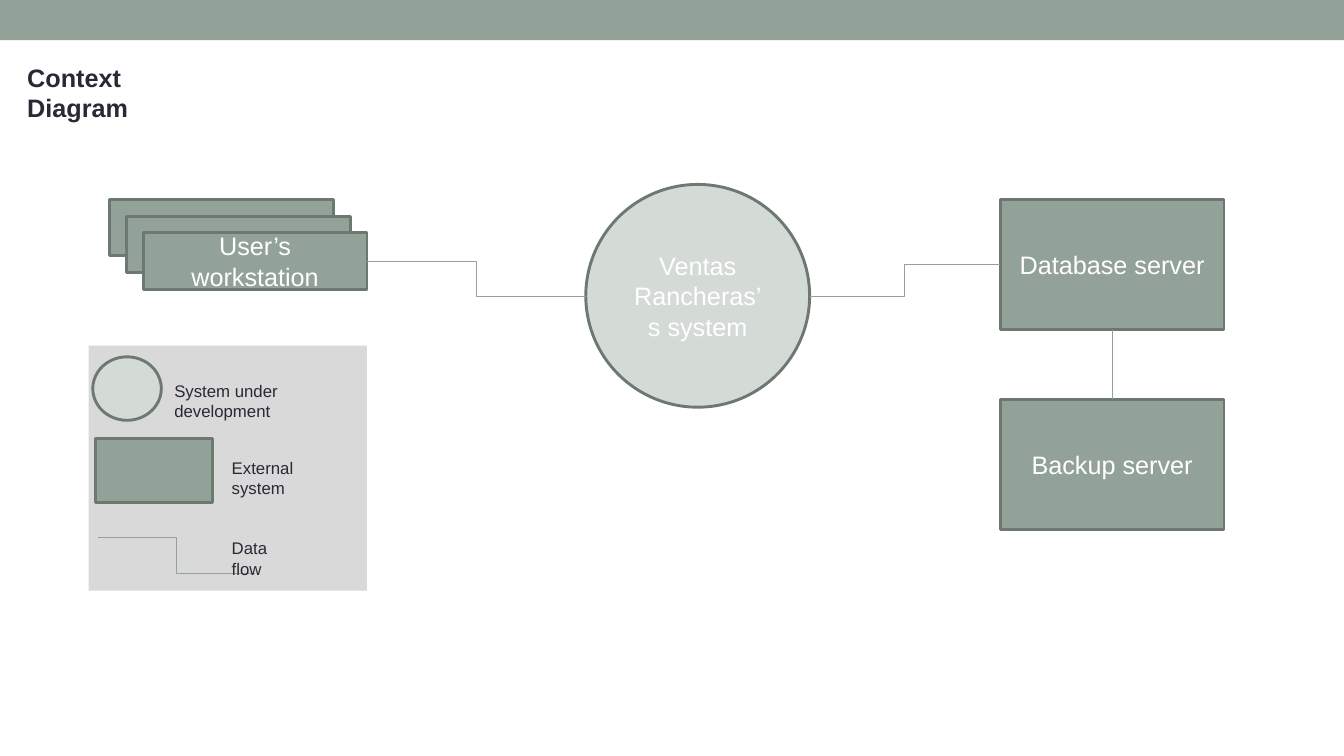
from lxml import etree
from pptx import Presentation
from pptx.dml.color import RGBColor
from pptx.enum import shapes, text
from pptx.oxml import ns
from pptx.util import Inches, Pt

SAGE = RGBColor(0x93, 0xA2, 0x99)
PALE = RGBColor(0xD4, 0xDA, 0xD6)
EDGE = RGBColor(0x6D, 0x78, 0x71)
GRAY = RGBColor(0xD9, 0xD9, 0xD9)
INK = RGBColor(0x29, 0x29, 0x34)
WHITE = RGBColor(0xFF, 0xFF, 0xFF)
RECT = shapes.MSO_SHAPE.RECTANGLE
OVAL = shapes.MSO_SHAPE.OVAL
STRAIGHT = shapes.MSO_CONNECTOR.STRAIGHT
ELBOW = shapes.MSO_CONNECTOR.ELBOW


def write(frame, words, size, color, bold=False):
    frame.word_wrap = True
    run = frame.paragraphs[0].add_run()
    run.text = words
    run.font.name = "Arial"
    run.font.size = Pt(size)
    run.font.bold = bold
    run.font.color.rgb = color


def add_form(slide, kind, box, fill, edge=EDGE, words=None):
    form = slide.shapes.add_shape(kind, *map(Inches, box))
    form.shadow.inherit = False
    form.fill.solid()
    form.fill.fore_color.rgb = fill
    if edge is None:
        form.line.fill.background()
    else:
        form.line.color.rgb = edge
        form.line.width = Pt(2.08)
    if words:
        frame = form.text_frame
        frame.vertical_anchor = text.MSO_ANCHOR.MIDDLE
        frame.paragraphs[0].alignment = text.PP_ALIGN.CENTER
        write(frame, words, 18, WHITE)
    return form


def add_flow(slide, kind, start, end):
    flow = slide.shapes.add_connector(kind, *map(Inches, start + end))
    flow.line.color.rgb = SAGE
    flow.line.width = Pt(0.75)
    props = flow._element.spPr
    etree.SubElement(props, ns.qn("a:effectLst"))
    return flow


def add_title(slide, box):
    title = slide.shapes.title
    title.left, title.top, title.width, title.height = map(Inches, box)
    frame = title.text_frame
    frame.auto_size = text.MSO_AUTO_SIZE.NONE
    frame.vertical_anchor = text.MSO_ANCHOR.TOP
    frame.paragraphs[0].alignment = text.PP_ALIGN.LEFT
    write(frame, "Context Diagram", 18, INK, True)


def add_stack(slide, box):
    left, top, width, height = box
    step = 0.165
    for i, words in enumerate((None, None, "User’s workstation")):
        spot = (left + i * step, top + i * step, width, height)
        add_form(slide, RECT, spot, SAGE, words=words)


def add_servers(slide, box):
    left, top, width, height = box
    tall = 1.29
    main = add_form(slide, RECT, (left, top, width, tall), SAGE,
                    words="Database server")
    spare = add_form(slide, RECT, (left, top + height - tall, width, tall),
                     SAGE, words="Backup server")
    mid = left + width / 2
    link = add_flow(slide, STRAIGHT, (mid, top + tall),
                    (mid, top + height - tall))
    link.begin_connect(main, 2)
    link.end_connect(spare, 0)


def add_legend(slide, box):
    left, top, _, _ = box
    add_form(slide, RECT, box, GRAY, None)
    add_form(slide, OVAL, (left + 0.04, top + 0.11, 0.68, 0.63), PALE)
    add_form(slide, RECT, (left + 0.07, top + 0.92, 1.16, 0.64), SAGE)
    add_flow(slide, ELBOW, (left + 0.09, top + 1.9), (left + 1.65, top + 2.26))
    for words, x, y, width in (("System under development", 0.75, 0.3, 2.08),
                               ("External system", 1.32, 1.06, 1.28),
                               ("Data flow", 1.32, 1.86, 0.86)):
        spot = (left + x, top + y, width, 0.3)
        label = slide.shapes.add_textbox(*map(Inches, spot))
        write(label.text_frame, words, 12, INK)


def add_context(slide):
    add_form(slide, RECT, (0, 0, 13.33, 0.4), SAGE, None)
    add_title(slide, (0.17, 0.57, 1.95, 0.4))
    add_form(slide, OVAL, (5.81, 1.83, 2.22, 2.21), PALE,
             words="Ventas Rancheras’s system")
    add_stack(slide, (1.09, 1.98, 2.22, 0.56))
    add_servers(slide, (9.92, 1.98, 2.22, 3.27))
    add_flow(slide, ELBOW, (3.64, 2.59), (5.81, 2.94))
    add_flow(slide, ELBOW, (9.92, 2.62), (8.03, 2.94))
    add_legend(slide, (0.88, 3.43, 2.76, 2.43))


def main():
    deck = Presentation()
    deck.slide_width = Inches(13.33)
    deck.slide_height = Inches(7.5)
    add_context(deck.slides.add_slide(deck.slide_layouts[5]))
    deck.save("out.pptx")


if __name__ == "__main__":
    main()
